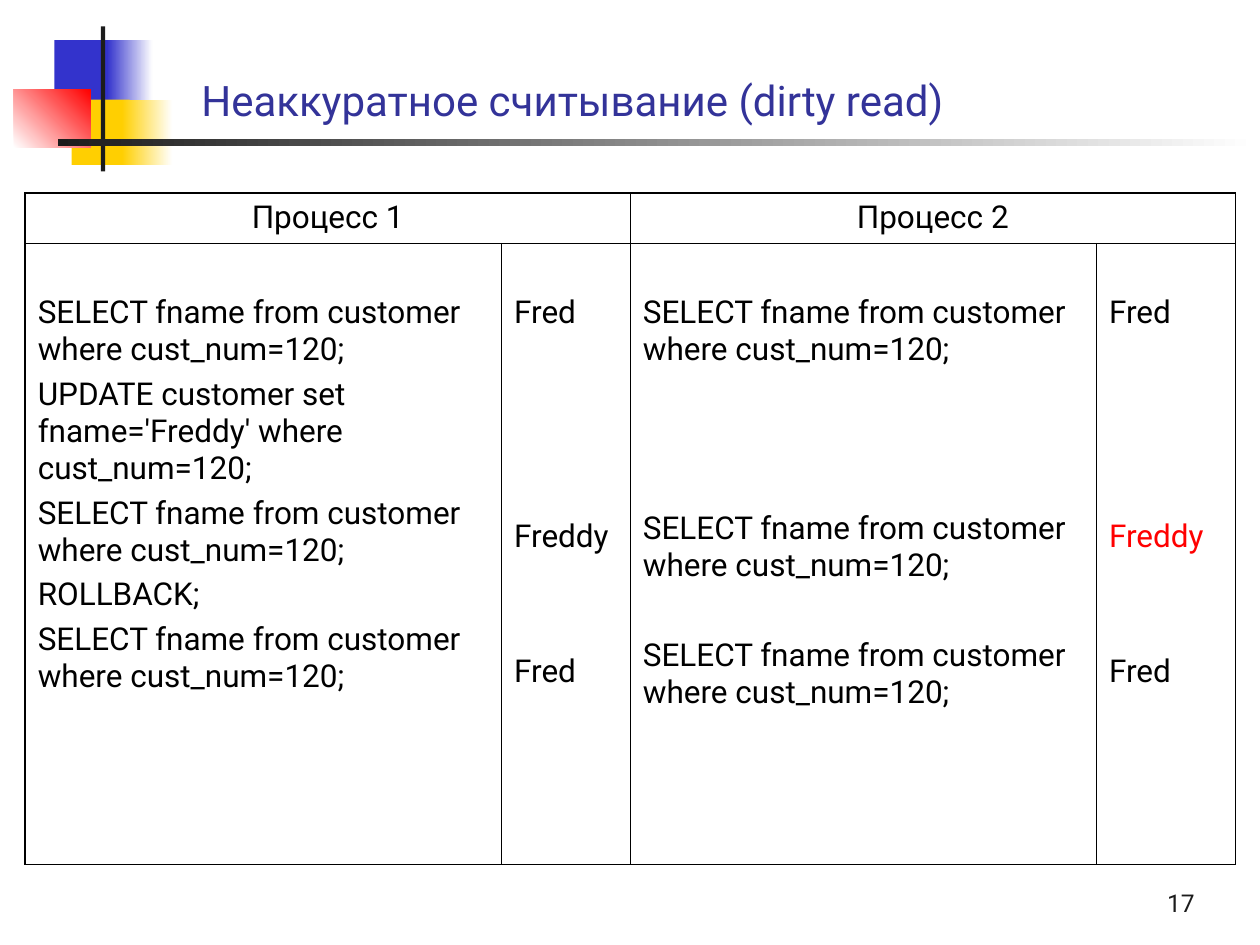
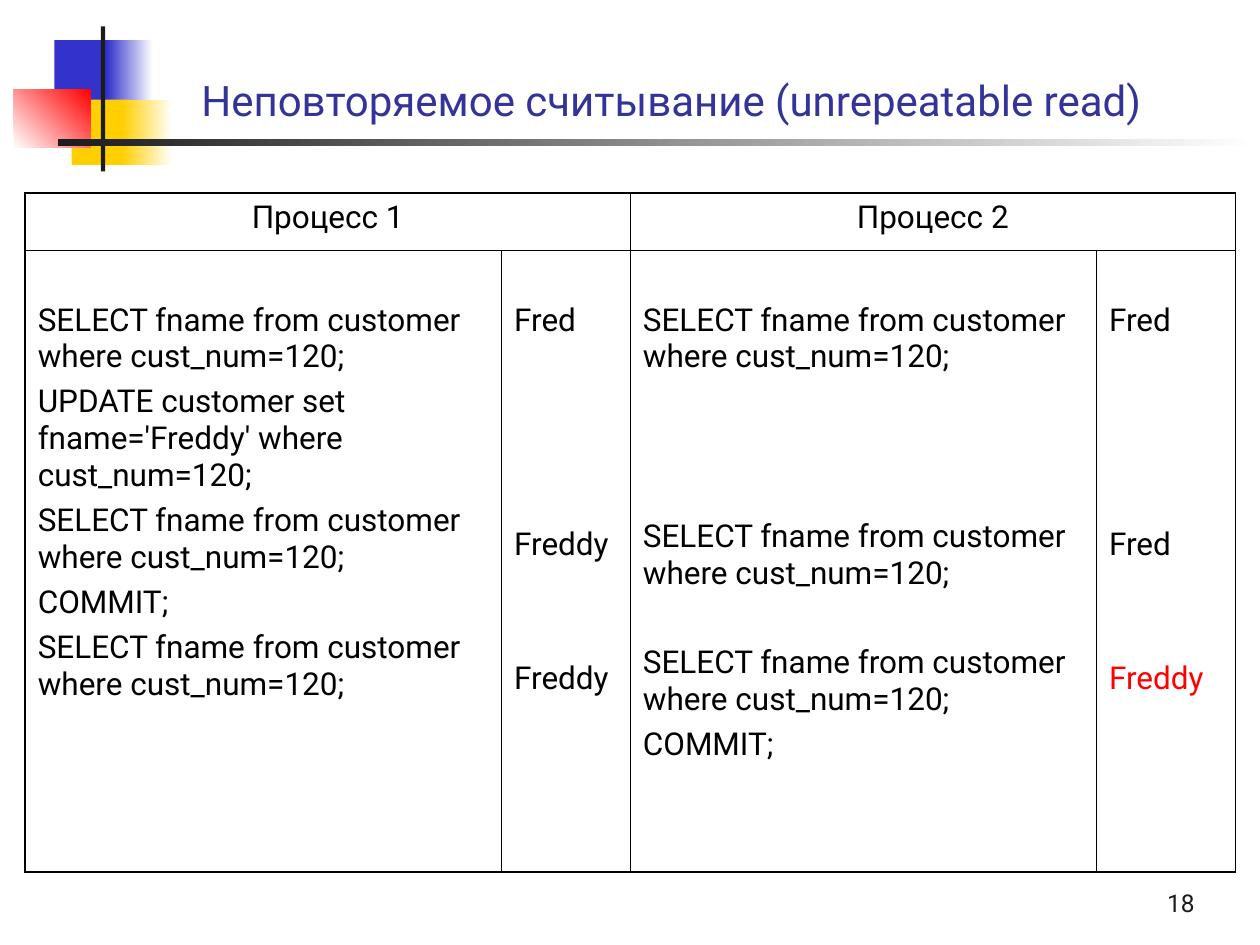
from lxml import etree
from pptx import Presentation
from pptx.dml.color import RGBColor
from pptx.enum.shapes import MSO_SHAPE
from pptx.enum.text import MSO_ANCHOR, PP_ALIGN
from pptx.oxml.ns import qn
from pptx.util import Pt

RECT = MSO_SHAPE.RECTANGLE
BASE = MSO_ANCHOR.BOTTOM
LEFT, MID, RIGHT = PP_ALIGN.LEFT, PP_ALIGN.CENTER, PP_ALIGN.RIGHT


class Theme:
    font = "Roboto"
    title, body, foot = 24, 18, 14
    navy, blue, gold, red = "333399", "3333CC", "FFCF01", "FF0000"
    dark, black, white = "1C1C1C", "000000", "FFFFFF"
    thin, thick = 0.45, 1.08
    space = 4.5
    step = 25.6
    pad = 3.6


SELECT = "SELECT fname from customer where cust_num=120;"
UPDATE = "UPDATE customer set fname='Freddy' where cust_num=120;"
HEADS = ["Процесс 1", "Процесс 2"]


def names(first, second, third):
    return [(1, *first), (4, *second), (2, *third)]


FRED = ("Fred", Theme.black)
FREDDY = ("Freddy", Theme.black)
ALERT = ("Freddy", Theme.red)


def steps(*parts):
    return [(gap, text, Theme.black) for gap, text in parts]


def writer(end):
    return steps((1, SELECT), (0, UPDATE), (0, SELECT), (0, end), (0, SELECT))


READS = [(1, SELECT), (3, SELECT), (1, SELECT)]

SLIDES = [
    {
        "title": "Неаккуратное считывание (dirty read)",
        "number": 17,
        "head": 28.8,
        "cells": [
            writer("ROLLBACK;"),
            names(FRED, FREDDY, FRED),
            steps(*READS),
            names(FRED, ALERT, FRED),
        ],
    },
    {
        "title": "Неповторяемое считывание (unrepeatable read)",
        "number": 18,
        "head": 33.1,
        "cells": [
            writer("COMMIT;"),
            names(FRED, FREDDY, FREDDY),
            steps(*READS, (0, "COMMIT;")),
            names(FRED, FRED, ALERT),
        ],
    },
]

DECOR = [
    ((31, 23, 34.5, 37.5), [Theme.blue], 0),
    ((61.2, 23, 26, 37.5), [Theme.blue, Theme.white], 0),
    ((41, 56.9, 33.1, 37.4), [Theme.gold], 0),
    ((69.8, 56.9, 28.8, 37.4), [Theme.gold, Theme.white], 0),
    ((7.9, 51.1, 43.9, 33.1), [Theme.white, Theme.red], 45),
    ((57.6, 15.1, 2.5, 82.8), [Theme.dark], 0),
    ((33.1, 79.2, 684.7, 4.3), [Theme.dark, Theme.white], 0),
]
TITLE = (108, 23.8, 612, 51.1)
FOOT = (540, 491.8, 149.8, 36)
ORIGIN = (14.4, 110.2)
WIDTHS = [272.2, 73.6, 266.4, 79.4]
BODY = 355


def points(box):
    return [Pt(value) for value in box]


def color(code):
    return RGBColor.from_string(code)


def write(para, text, size, ink, align=LEFT):
    para.alignment = align
    run = para.add_run()
    run.text = text
    run.font.name = Theme.font
    run.font.size = Pt(size)
    run.font.color.rgb = color(ink)


def label(slide, box, text, size, ink, align=LEFT):
    frame = slide.shapes.add_textbox(*points(box)).text_frame
    frame.word_wrap = True
    frame.vertical_anchor = BASE
    write(frame.paragraphs[0], text, size, ink, align)


def decorate(slide):
    group = slide.shapes.add_group_shape()
    for box, inks, angle in DECOR:
        shape = group.shapes.add_shape(RECT, *points(box))
        shape.shadow.inherit = False
        shape.line.fill.background()
        if len(inks) == 1:
            shape.fill.solid()
            shape.fill.fore_color.rgb = color(inks[0])
            continue
        shape.fill.gradient()
        shape.fill.gradient_angle = angle
        for stop, ink in zip(shape.fill.gradient_stops, inks):
            stop.color.rgb = color(ink)


def border(cell, row, col):
    outer = {"L": col == 0, "R": col == len(WIDTHS) - 1, "T": row == 0, "B": row == 1}
    props = cell._tc.get_or_add_tcPr()
    for side, edge in outer.items():
        width = Theme.thick if edge else Theme.thin
        line = etree.SubElement(props, qn(f"a:ln{side}"), w=str(Pt(width)))
        fill = etree.SubElement(line, qn("a:solidFill"))
        etree.SubElement(fill, qn("a:srgbClr"), val=Theme.black)
    cell.fill.background()


def fill_cell(cell, lines):
    frame = cell.text_frame
    for index, (gap, text, ink) in enumerate(lines):
        if index == 0:
            cell.margin_top = Pt(Theme.pad + gap * Theme.step)
            para = frame.paragraphs[0]
        else:
            para = frame.add_paragraph()
            para.space_before = Pt(Theme.space + gap * Theme.step)
        write(para, text, Theme.body, ink)


def add_grid(slide, head, cells):
    size = (sum(WIDTHS), head + BODY)
    table = slide.shapes.add_table(2, len(WIDTHS), *points(ORIGIN + size)).table
    table.first_row = table.horz_banding = False
    for col, width in enumerate(WIDTHS):
        table.columns[col].width = Pt(width)
    for row, height in enumerate((head, BODY)):
        table.rows[row].height = Pt(height)
        for col in range(len(WIDTHS)):
            border(table.cell(row, col), row, col)
    for index, text in enumerate(HEADS):
        cell = table.cell(0, 2 * index)
        cell.merge(table.cell(0, 2 * index + 1))
        write(cell.text_frame.paragraphs[0], text, Theme.body, Theme.black, MID)
    for col, lines in enumerate(cells):
        fill_cell(table.cell(1, col), lines)


def main():
    deck = Presentation()
    deck.slide_width, deck.slide_height = Pt(720), Pt(540)
    for data in SLIDES:
        slide = deck.slides.add_slide(deck.slide_layouts[6])
        decorate(slide)
        label(slide, TITLE, data["title"], Theme.title, Theme.navy)
        add_grid(slide, data["head"], data["cells"])
        label(slide, FOOT, str(data["number"]), Theme.foot, Theme.dark, RIGHT)
    deck.save("out.pptx")


if __name__ == "__main__":
    main()
